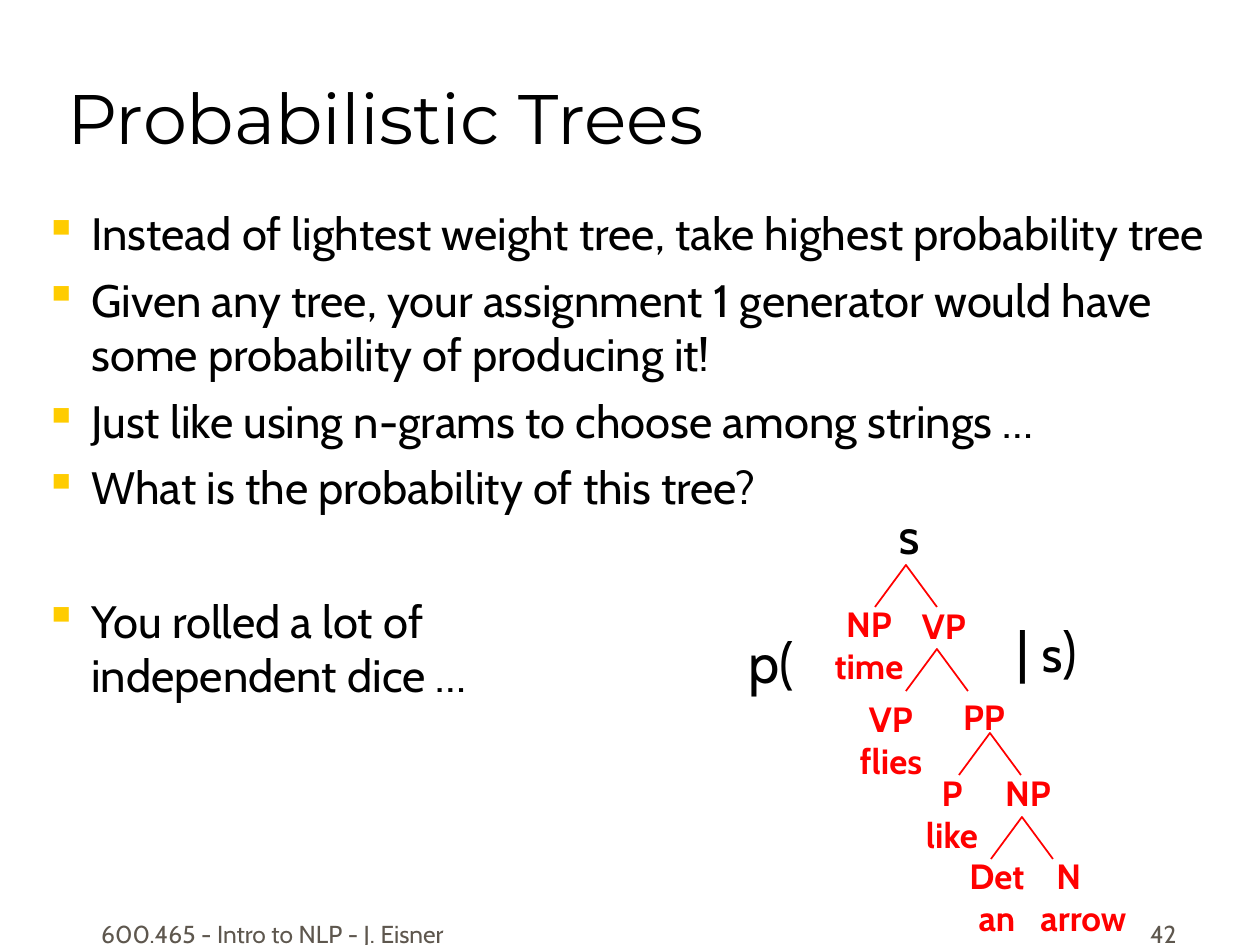
from dataclasses import dataclass
from lxml import etree
from pptx import Presentation
from pptx import util as u
from pptx.dml.color import RGBColor
from pptx.enum import text
from pptx.oxml import ns

SCALE = 914400 // 126
LEFT, MID, RIGHT = text.PP_ALIGN.LEFT, text.PP_ALIGN.CENTER, text.PP_ALIGN.RIGHT
TOP, BASE = text.MSO_ANCHOR.TOP, text.MSO_ANCHOR.BOTTOM


@dataclass(frozen=True)
class Theme:
    ink: str = "000000"
    tree: str = "FF0000"
    mark: str = "FFCC00"
    foot: str = "5E574E"
    head: str = "Montserrat"
    body: str = "Cabin"
    title: float = 40
    list: float = 25.9
    math: float = 32
    node: float = 20
    small: float = 14


T = Theme()


def px(n):
    return u.Emu(n * SCALE)


def style(part, size, color, face=T.body, bold=False):
    for run in part.runs:
        font = run.font
        font.size, font.name, font.bold = u.Pt(size), face, bold
        font.color.rgb = RGBColor.from_string(color)


def label(slide, box, words, size, color=T.ink, face=T.body, bold=False,
          align=LEFT, anchor=TOP, wrap=True):
    frame = slide.shapes.add_textbox(*map(px, box)).text_frame
    frame.word_wrap = wrap
    frame.vertical_anchor = anchor
    frame.text = words
    for part in frame.paragraphs:
        part.alignment = align
        style(part, size, color, face, bold)
    return frame


def bullet(part, indent):
    props = part._p.get_or_add_pPr()
    props.set("marL", str(px(indent)))
    props.set("indent", str(-px(indent)))
    tint = etree.SubElement(props, ns.qn("a:buClr"))
    etree.SubElement(tint, ns.qn("a:srgbClr"), val=T.mark)
    etree.SubElement(props, ns.qn("a:buChar"), char="▪")


def points(slide, box, items):
    frame = label(slide, box, "\n".join(words for words, gap in items), T.list)
    for part, (words, gap) in zip(frame.paragraphs, items):
        part.space_before = u.Pt(gap)
        bullet(part, 47)


def node(slide, mid, top, words, color=T.tree):
    wide = 100
    tall = 55 + 42 * words.count("\n")
    label(slide, (mid - wide // 2, top, wide, tall), words, T.node, color,
          bold=True, align=MID, wrap=False)


def fork(slide, mid, top):
    half, drop = 31, 42
    pen = slide.shapes.build_freeform(px(mid - half), px(top + drop))
    ends = [(px(mid), px(top)), (px(mid + half), px(top + drop))]
    pen.add_line_segments(ends, close=False)
    shape = pen.convert_to_shape()
    shape.shadow.inherit = False
    shape.fill.background()
    shape.line.color.rgb = RGBColor.from_string(T.tree)
    shape.line.width = u.Pt(1)


def tree(slide):
    node(slide, 909, 513, "S", T.ink)
    for mid, top, words in (
        (869, 596, "NP\ntime"), (944, 598, "VP"),
        (891, 691, "VP\nflies"), (984, 689, "PP"),
        (952, 765, "P\nlike"), (1028, 765, "NP"),
        (997, 848, "Det\nan"),
    ):
        node(slide, mid, top, words)
    leaf = label(slide, (1028, 848, 124, 97), "N\narrow", T.node, T.tree, bold=True)
    leaf.paragraphs[0]._p.get_or_add_pPr().set("marL", str(px(16)))
    for row, mid in enumerate((906, 937, 990, 1022)):
        fork(slide, mid, 565 + 84 * row)


def given(slide):
    label(slide, (733, 621, 76, 81), "p(", T.math, align=MID, wrap=False)
    part = label(slide, (1004, 610, 107, 81), "| ", T.math).paragraphs[0]
    for words in ("S", ")"):
        part.add_run().text = words
    style(part, T.math, T.ink)
    part.runs[1].font.size = u.Pt(T.node)
    part.runs[1].font.bold = True


def main():
    deck = Presentation()
    deck.slide_width, deck.slide_height = px(1260), px(945)
    slide = deck.slides.add_slide(deck.slide_layouts[6])
    label(slide, (73, 892, 399, 63), "600.465 - Intro to NLP - J. Eisner",
          T.small, T.foot, align=MID, anchor=BASE)
    label(slide, (927, 892, 262, 63), "42", T.small, T.foot,
          align=RIGHT, anchor=BASE)
    label(slide, (55, 8, 1071, 157), "Probabilistic Trees", T.title,
          face=T.head, anchor=BASE)
    points(slide, (32, 199, 1197, 640), (
        ("Instead of lightest weight tree, take highest probability tree", 0),
        ("Given any tree, your assignment 1 generator would have "
         "some probability of producing it!", 7),
        ("Just like using n-grams to choose among strings …", 7),
        ("What is the probability of this tree?", 7),
        ("You rolled a lot of\vindependent dice …", 45),
    ))
    tree(slide)
    given(slide)
    deck.save("out.pptx")


if __name__ == "__main__":
    main()
